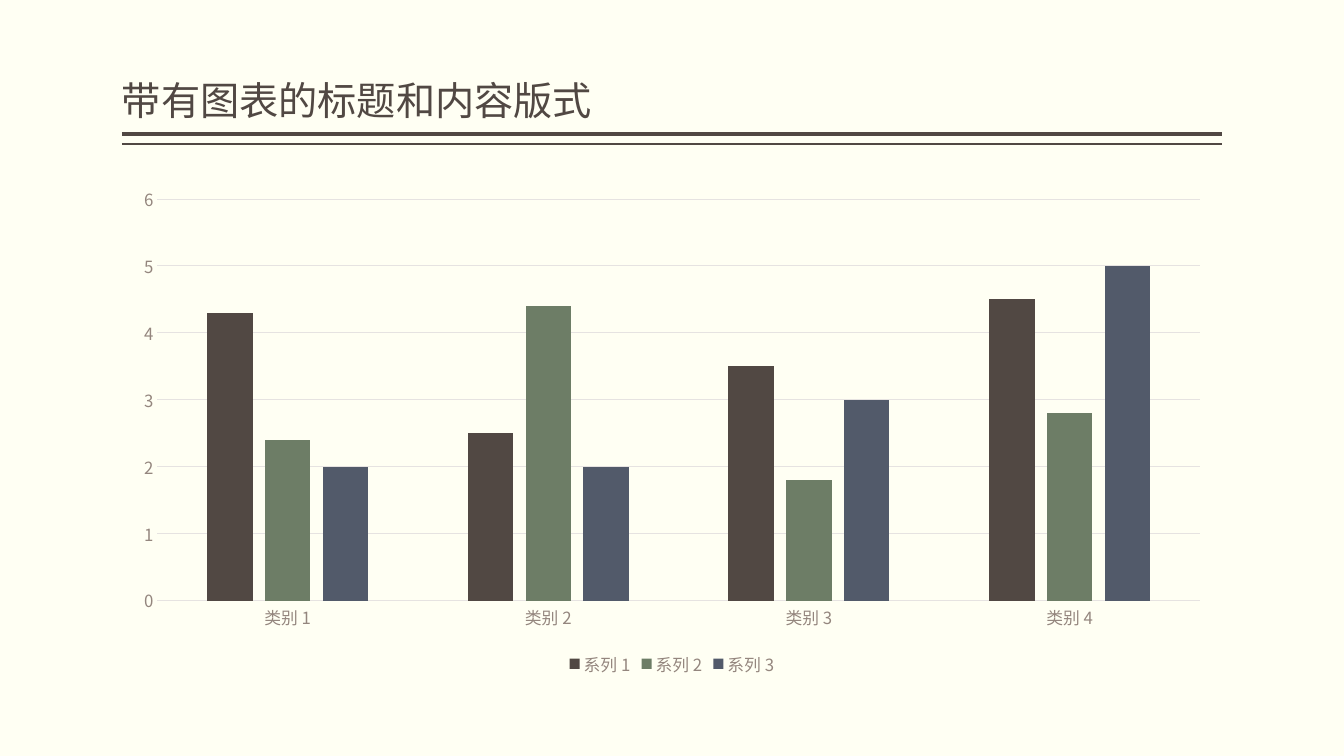
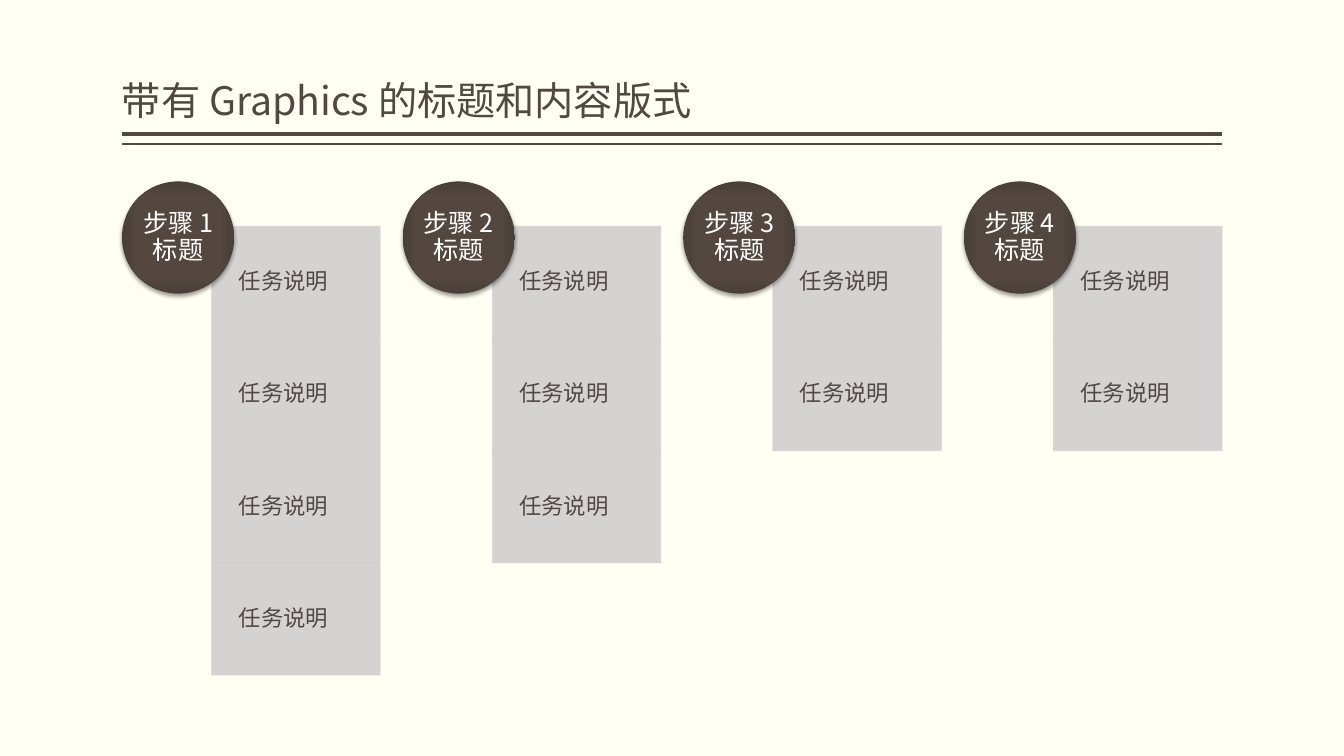
from lxml import etree
from pptx import Presentation
from pptx.chart.data import CategoryChartData
from pptx.dml.color import RGBColor
from pptx.enum.chart import XL_CHART_TYPE, XL_LEGEND_POSITION, XL_TICK_MARK
from pptx.enum.shapes import MSO_CONNECTOR, MSO_SHAPE
from pptx.enum.text import MSO_ANCHOR, MSO_AUTO_SIZE, PP_ALIGN
from pptx.oxml import parse_xml
from pptx.oxml.ns import nsdecls, qn
from pptx.util import Inches, Pt

COLUMN = XL_CHART_TYPE.COLUMN_CLUSTERED
BELOW = XL_LEGEND_POSITION.BOTTOM
NO_TICK = XL_TICK_MARK.NONE
LINE = MSO_CONNECTOR.STRAIGHT
RECT, OVAL = MSO_SHAPE.RECTANGLE, MSO_SHAPE.OVAL
MIDDLE, BOTTOM = MSO_ANCHOR.MIDDLE, MSO_ANCHOR.BOTTOM
LEFT, CENTER = PP_ALIGN.LEFT, PP_ALIGN.CENTER

FONT = "Noto Sans CJK SC"
HEX = {
    "paper": "FFFFF3", "dark": "514843", "green": "6D7D66", "blue": "525A6A",
    "label": "94867E", "grid": "E6E3E1", "box": "D0CFCF", "white": "FFFFFF",
    "disk": "544740", "mid": "534740", "rim": "4A3F39",
}
RGB = {name: RGBColor.from_string(code) for name, code in HEX.items()}

# Page grid: equal side margins, content between them
W, H = Inches(13.33), Inches(7.5)
EDGE = Inches(1.21)
WIDE = W - 2 * EDGE


def style(font, size, tone):
    for key, value in {"name": FONT, "size": Pt(size), "bold": False}.items():
        setattr(font, key, value)
    font.color.rgb = RGB[tone]


def write(shape, text, size, tone, align, **frame):
    """Fill the shape with one styled paragraph; frame holds text frame values."""
    box = shape.text_frame
    box.text = text
    for key, value in frame.items():
        setattr(box, key, value)
    para = box.paragraphs[0]
    para.alignment = align
    para.line_spacing = 0.9
    style(para.runs[0].font, size, tone)


deck = Presentation()
deck.slide_width, deck.slide_height = W, H

# Shared layout: background, title place and double rule
layout = deck.slide_layouts[5]
layout.background.fill.solid()
layout.background.fill.fore_color.rgb = RGB["paper"]
head = layout.placeholders[0]
place = {"left": EDGE, "top": Inches(0.08), "width": WIDE, "height": Inches(1.2)}
for key, value in place.items():
    setattr(head, key, value)

titles = ["带有图表的标题和内容版式", "带有 Graphics 的标题和内容版式"]
slides = [deck.slides.add_slide(layout) for _ in titles]
for slide, title in zip(slides, titles):
    write(slide.shapes.title, title, 28, "dark", LEFT,
          margin_left=0, margin_right=0, vertical_anchor=BOTTOM,
          word_wrap=True, auto_size=MSO_AUTO_SIZE.NONE)

for y, weight in [(1.33, 3), (1.43, 1)]:
    rule = slides[0].shapes.add_connector(
        LINE, EDGE, Inches(y), EDGE + WIDE, Inches(y))
    rule.line.color.rgb = RGB["dark"]
    rule.line.width = Pt(weight)
    etree.SubElement(rule.element.spPr, qn("a:effectLst"))
    layout.shapes.element.append(rule.element)

# Slide 1: column chart
rows = [
    ("系列 1", [4.3, 2.5, 3.5, 4.5], "dark"),
    ("系列 2", [2.4, 4.4, 1.8, 2.8], "green"),
    ("系列 3", [2, 2, 3, 5], "blue"),
]
data = CategoryChartData()
data.categories = [f"类别 {n}" for n in range(1, 5)]
for name, vals, _ in rows:
    data.add_series(name, vals)
chart = slides[0].shapes.add_chart(
    COLUMN, EDGE, Inches(1.75), WIDE, Inches(5), data).chart
style(chart.font, 10, "dark")
chart.has_title = False
chart.has_legend = True
chart.legend.position = BELOW
chart.legend.include_in_layout = False
style(chart.legend.font, 12, "label")

plot = chart.plots[0]
for key, value in {"gap_width": 219, "overlap": -27,
                   "vary_by_categories": False}.items():
    setattr(plot, key, value)
for series, (_, _, tone) in zip(plot.series, rows):
    series.format.fill.solid()
    series.format.fill.fore_color.rgb = RGB[tone]

cats, vals = chart.category_axis, chart.value_axis
for axis in (cats, vals):
    axis.major_tick_mark = axis.minor_tick_mark = NO_TICK
    style(axis.tick_labels.font, 12, "label")
for key, value in {"minimum_scale": 0, "maximum_scale": 6, "major_unit": 1,
                   "has_major_gridlines": True}.items():
    setattr(vals, key, value)
vals.format.line.fill.background()
for line in (cats.format.line, vals.major_gridlines.format.line):
    line.color.rgb = RGB["grid"]
    line.width = Pt(0.75)

# Slide 2: each step is a disk with a stack of tasks.
# In disk sizes: task 1.5 wide, set in by 0.8; step pitch 2.5; total 9.8.
DISK = WIDE / 9.8
TOP = Inches(1.8)
stops = "".join(
    f'<a:gs pos="{pos}"><a:srgbClr val="{HEX[tone]}"/></a:gs>'
    for pos, tone in [(0, "disk"), (71000, "mid"), (100000, "rim")])
GRAD = (f'<a:gradFill {nsdecls("a")}><a:gsLst>{stops}</a:gsLst><a:path path="rect">'
        '<a:fillToRect l="50000" t="50000" r="50000" b="50000"/>'
        '</a:path></a:gradFill>')
SHADE = (f'<a:outerShdw {nsdecls("a")} blurRad="{Pt(3.1)}" dist="{Pt(2)}" '
         'dir="5400000"><a:srgbClr val="000000"><a:alpha val="38000"/>'
         '</a:srgbClr></a:outerShdw>')
PAD = Inches(0.12)
shapes = slides[1].shapes

for step, count in enumerate([4, 3, 2, 2]):
    x = EDGE + 2.5 * DISK * step
    for row in range(count):
        task = shapes.add_shape(
            RECT, int(x + 0.8 * DISK), int(TOP + (0.4 + row) * DISK),
            int(1.5 * DISK), int(DISK))
        task.shadow.inherit = False
        task.fill.solid()
        task.fill.fore_color.rgb = task.line.color.rgb = RGB["box"]
        task.line.width = Pt(0.5)
        for tint in task.element.spPr.iter(qn("a:srgbClr")):
            etree.SubElement(tint, qn("a:alpha"), val="90000")
        write(task, "任务说明", 16, "dark", LEFT, word_wrap=True,
              vertical_anchor=MIDDLE, margin_left=int(0.24 * DISK),
              margin_right=PAD, margin_top=PAD, margin_bottom=PAD)

    disk = shapes.add_shape(OVAL, int(x), TOP, int(DISK), int(DISK))
    disk.fill.solid()
    disk.line.fill.background()
    disk.shadow.inherit = False
    props = disk.element.spPr
    props.replace(props.find(qn("a:solidFill")), parse_xml(GRAD))
    props.find(qn("a:effectLst")).append(parse_xml(SHADE))
    write(disk, f"步骤 {step + 1} 标题", 18, "white", CENTER, word_wrap=True,
          vertical_anchor=MIDDLE, margin_left=0, margin_right=0,
          margin_top=0, margin_bottom=0)

# East Asian text takes the same typeface as Latin text
for root in [chart.element] + [slide.element for slide in slides]:
    for latin in list(root.iter(qn("a:latin"))):
        east = etree.Element(qn("a:ea"), typeface=FONT)
        latin.addnext(east)

deck.save("out.pptx")
